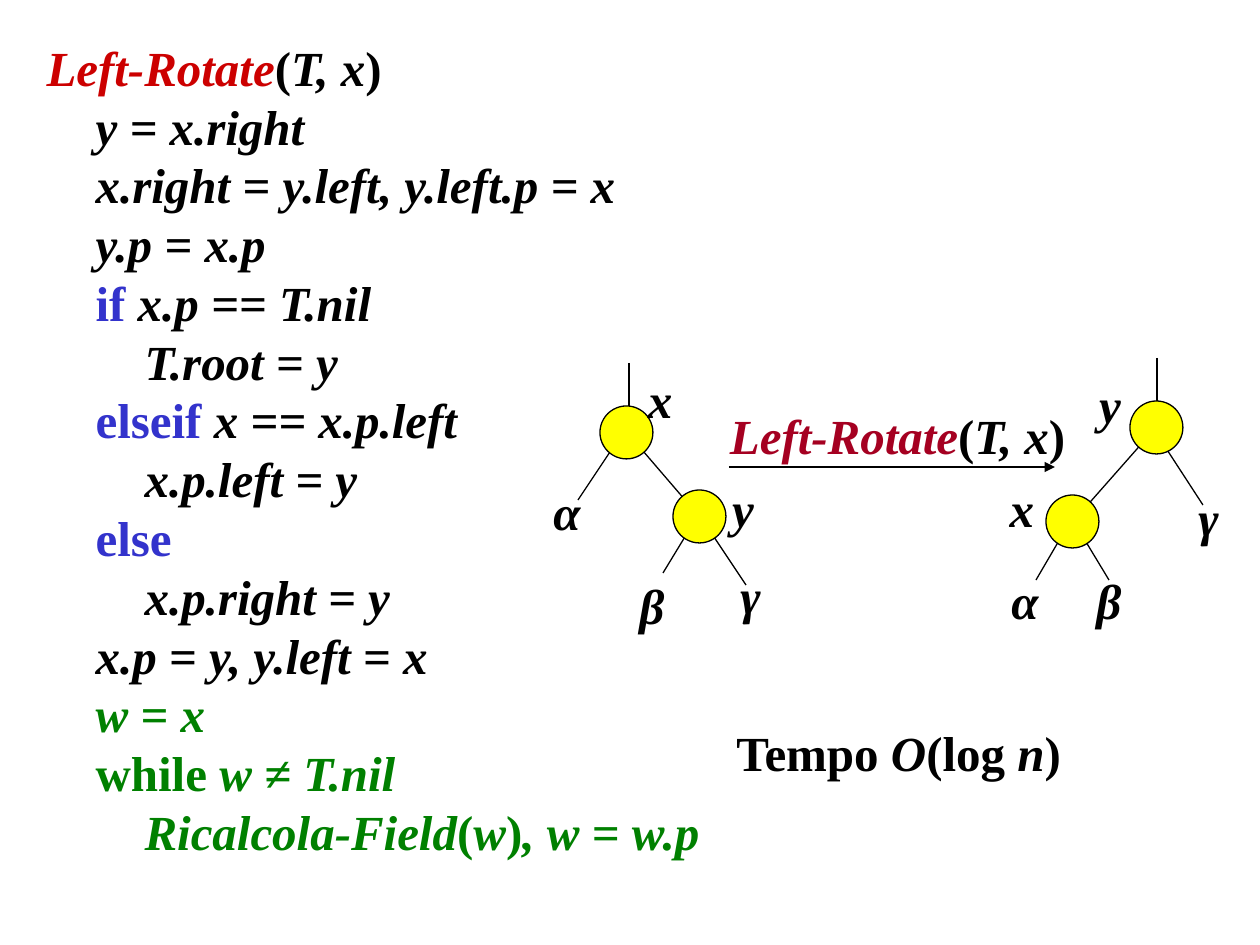
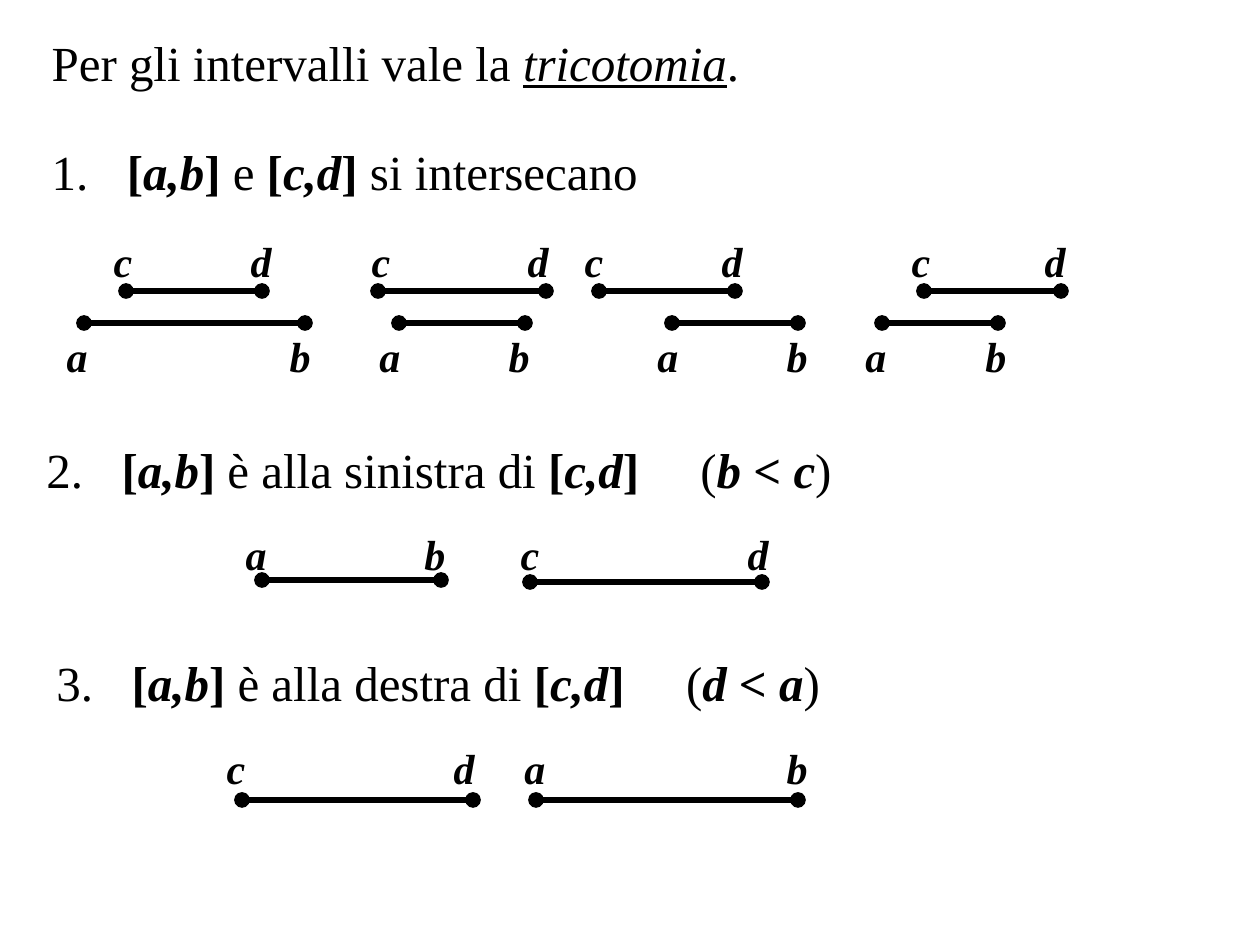
from typing import NamedTuple

from lxml import etree
from pptx import Presentation
from pptx.dml.color import RGBColor
from pptx.enum.shapes import MSO_CONNECTOR, MSO_SHAPE
from pptx.enum.text import MSO_ANCHOR, MSO_AUTO_SIZE, PP_ALIGN
from pptx.oxml.ns import qn
from pptx.util import Emu, Pt

STRAIGHT = MSO_CONNECTOR.STRAIGHT
OVAL = MSO_SHAPE.OVAL
TOP, MIDDLE = MSO_ANCHOR.TOP, MSO_ANCHOR.MIDDLE
LEFT, CENTER = PP_ALIGN.LEFT, PP_ALIGN.CENTER
FIXED = MSO_AUTO_SIZE.NONE

SCALE = 914400 / 126  # EMU per pixel
FONT = "Times New Roman"
BLACK, YELLOW = "000000", "FFFF00"
RED, CRIMSON, BLUE, GREEN = "CC0000", "A50021", "3333CC", "008000"
TEXT_SIZE, LABEL_SIZE = 28, 24
LINE_FACTOR = 1.2
CODE_STEP, NUMBER_INDENT = 49, 63
NODE_SIZE = 53

# Run formats
PLAIN = {}
BOLD = {"bold": True}
VAR = {"bold": True, "italic": True}
TERM = {"italic": True, "underline": True}
NAME = {**VAR, "color": RED}
CAPTION_NAME = {**VAR, "color": CRIMSON}
KEYWORD = {**BOLD, "color": BLUE}
ADDED = {**VAR, "color": GREEN}
ADDED_UPRIGHT = {**BOLD, "color": GREEN}
WIDE_GAP = {"spacing": 2800}


class Box(NamedTuple):
    """A rectangle in pixels."""
    x: int
    y: int
    w: int
    h: int


class Para(NamedTuple):
    """A paragraph: its runs, code indent level and list number."""
    runs: list
    level: int = 0
    number: int = 0


class Line(NamedTuple):
    """A straight line between two points in pixels."""
    x1: int
    y1: int
    x2: int
    y2: int


class Interval(NamedTuple):
    """A segment with the names of its ends and the places of those names."""
    names: str
    start: int
    end: int
    y: int
    label_y: int
    first_x: int
    last_x: int


def px(n: float) -> Emu:
    """Turn pixels into EMU."""
    return Emu(round(n * SCALE))


def rgb(color: str) -> RGBColor:
    """Turn a hex string into a colour."""
    return RGBColor.from_string(color)


def add_run(p, text: str, fmt: dict, size: int) -> None:
    """Add a run formatted from a dict."""
    r = p.add_run()
    r.text = text
    values = {"name": FONT, "size": Pt(size), "bold": False, "italic": False,
              "color": BLACK, **fmt}
    r.font.color.rgb = rgb(values.pop("color"))
    spacing = values.pop("spacing", None)
    if spacing:
        r._r.get_or_add_rPr().set("spc", str(spacing))
    for key, value in values.items():
        setattr(r.font, key, value)


def set_list_style(p, para: Para) -> None:
    """Set the indent of a paragraph and its number, if it has one."""
    pPr = p._p.get_or_add_pPr()
    indent = NUMBER_INDENT if para.number else 0
    pPr.set("marL", str(px(para.level * CODE_STEP + indent)))
    pPr.set("indent", str(-px(indent)))
    if para.number:
        etree.SubElement(pPr, qn("a:buAutoNum"), type="arabicPeriod",
                         startAt=str(para.number))
    else:
        etree.SubElement(pPr, qn("a:buNone"))


def write(s, box: Box, paras: list, size: int = TEXT_SIZE, align=LEFT,
          anchor=TOP, wrap: bool = True) -> None:
    """Place a text shape or placeholder and fill it with paragraphs."""
    s.left, s.top, s.width, s.height = map(px, box)
    tf = s.text_frame
    for key, value in {"word_wrap": wrap, "auto_size": FIXED,
                       "vertical_anchor": anchor}.items():
        setattr(tf, key, value)
    for i, para in enumerate(paras):
        p = tf.add_paragraph() if i else tf.paragraphs[0]
        for key, value in {"alignment": align, "space_before": Pt(0),
                           "line_spacing": Pt(size * LINE_FACTOR)}.items():
            setattr(p, key, value)
        set_list_style(p, para)
        for text, fmt in para.runs:
            add_run(p, text, fmt, size)


def add_text(slide, box: Box):
    """Add an empty text box."""
    return slide.shapes.add_textbox(*map(px, box))


def add_label(slide, box: Box, runs: list, size: int = TEXT_SIZE) -> None:
    """Add a centred label of one line."""
    write(add_text(slide, box), box, [Para(runs)], size, CENTER, MIDDLE, False)


def add_line(slide, line: Line, width: float = 0.75, head: str = "",
             tail: str = "") -> None:
    """Add a black line with optional line ends."""
    c = slide.shapes.add_connector(STRAIGHT, *map(px, line))
    c.line.color.rgb = rgb(BLACK)
    c.line.width = Pt(width)
    spPr = c.element.spPr
    ln = spPr.find(qn("a:ln"))
    for tag, kind in (("a:headEnd", head), ("a:tailEnd", tail)):
        if kind:
            etree.SubElement(ln, qn(tag), type=kind)
    etree.SubElement(spPr, qn("a:effectLst"))


def add_node(slide, x: int, y: int) -> None:
    """Add a yellow tree node."""
    s = slide.shapes.add_shape(OVAL, *map(px, (x, y, NODE_SIZE, NODE_SIZE)))
    s.shadow.inherit = False
    s.fill.solid()
    s.fill.fore_color.rgb = rgb(YELLOW)
    s.line.color.rgb = rgb(BLACK)
    s.line.width = Pt(0.75)


def add_interval(slide, item: Interval) -> None:
    """Add a segment with round ends and its two labels."""
    add_line(slide, Line(item.start, item.y, item.end, item.y), 3, "oval", "oval")
    for name, x in zip(item.names, (item.first_x, item.last_x)):
        add_label(slide, Box(x, item.label_y, 46, 64), [(name, VAR)], LABEL_SIZE)


CODE = [
    Para([("Left-Rotate", NAME), ("(", BOLD), ("T, x", VAR), (")", BOLD)]),
    Para([("y = x.right", VAR)], 1),
    Para([("x.right = y.left, y.left.p = x", VAR)], 1),
    Para([("y.p = x.p", VAR)], 1),
    Para([("if ", KEYWORD), ("x.p == T.nil", VAR)], 1),
    Para([("T.root = y", VAR)], 2),
    Para([("elseif", KEYWORD), (" x == x.p.left", VAR)], 1),
    Para([("x.p.left = y", VAR)], 2),
    Para([("else", KEYWORD)], 1),
    Para([("x.p.right = y", VAR)], 2),
    Para([("x.p = y, y.left = x", VAR)], 1),
    Para([("w = x", ADDED)], 1),
    Para([("while", ADDED_UPRIGHT), (" w ≠ T.nil", ADDED)], 1),
    Para([("Ricalcola-Field", ADDED), ("(", ADDED_UPRIGHT), ("w", ADDED),
          (")", ADDED_UPRIGHT), (", w = w.p", ADDED)], 2),
]
COST = [("Tempo", BOLD), (" O", VAR), ("(log", BOLD), (" n", VAR), (")", BOLD)]
CAPTION = [("Left-Rotate", CAPTION_NAME), ("(", BOLD), ("T, x", VAR), (")", BOLD)]

TREE_EDGES = [
    # before the rotation
    Line(629, 363, 629, 436), Line(620, 437, 578, 500), Line(631, 437, 704, 522),
    Line(694, 522, 663, 573), Line(704, 522, 746, 585),
    # after the rotation
    Line(1157, 358, 1157, 431), Line(1162, 442, 1203, 505),
    Line(1152, 432, 1077, 517), Line(1067, 527, 1036, 580),
    Line(1077, 527, 1109, 580),
]
TREE_NODES = [(600, 406), (673, 490), (1130, 401), (1046, 495)]
TREE_LABELS = [
    ("x", Box(635, 363, 50, 72)), ("y", Box(719, 472, 48, 72)),
    ("α", Box(525, 479, 84, 63)), ("β", Box(610, 573, 84, 63)),
    ("γ", Box(714, 563, 73, 63)),
    ("y", Box(1086, 368, 48, 72)), ("x", Box(997, 472, 50, 72)),
    ("α", Box(983, 568, 84, 63)), ("β", Box(1067, 568, 84, 63)),
    ("γ", Box(1172, 485, 73, 63)),
]

TITLE = [("Per gli intervalli vale la ", PLAIN), ("tricotomia", TERM), (".", PLAIN)]
AB = [(" ", PLAIN), ("[", BOLD), ("a,b", VAR), ("]", BOLD)]
CD = [("[", BOLD), ("c,d", VAR), ("]", BOLD)]


def condition(text: str) -> list:
    """Return the runs of a condition in brackets after a wide gap."""
    return [(" ", WIDE_GAP), ("(", PLAIN), (text, VAR), (")", PLAIN)]


CASES = [
    (Box(39, 135, 1186, 72),
     AB + [(" e ", PLAIN)] + CD + [(" si intersecano", PLAIN)]),
    (Box(34, 433, 1186, 72),
     AB + [(" è alla sinistra di ", PLAIN)] + CD + condition("b < c")),
    (Box(44, 646, 1166, 72),
     AB + [(" è alla destra di ", PLAIN)] + CD + condition("d < a")),
]
INTERVALS = [
    # the four ways to overlap
    Interval("cd", 126, 262, 291, 229, 100, 238),
    Interval("ab", 84, 305, 323, 324, 54, 277),
    Interval("cd", 378, 546, 291, 229, 358, 515),
    Interval("ab", 399, 525, 323, 324, 367, 496),
    Interval("cd", 599, 735, 291, 229, 571, 709),
    Interval("ab", 672, 798, 323, 324, 645, 774),
    Interval("cd", 924, 1061, 291, 229, 898, 1032),
    Interval("ab", 882, 998, 323, 324, 853, 973),
    # to the left
    Interval("ab", 262, 441, 580, 522, 233, 412),
    Interval("cd", 530, 762, 582, 522, 507, 735),
    # to the right
    Interval("cd", 242, 473, 800, 736, 213, 441),
    Interval("ab", 536, 798, 800, 736, 512, 774),
]


def build_rotation(prs) -> None:
    """Build the slide with the rotation code and the two trees."""
    slide = prs.slides.add_slide(prs.slide_layouts[1])
    title, body = slide.placeholders
    title.element.getparent().remove(title.element)
    write(body, Box(34, 31, 809, 844), CODE)
    cost_box = Box(724, 716, 496, 72)
    write(add_text(slide, cost_box), cost_box, [Para(COST)])
    for edge in TREE_EDGES:
        add_line(slide, edge)
    for x, y in TREE_NODES:
        add_node(slide, x, y)
    for text, box in TREE_LABELS:
        add_label(slide, box, [(text, VAR)])
    add_line(slide, Line(729, 467, 1055, 467), tail="triangle")
    add_label(slide, Box(719, 403, 357, 63), CAPTION)


def build_trichotomy(prs) -> None:
    """Build the slide with the three cases for two intervals."""
    slide = prs.slides.add_slide(prs.slide_layouts[1])
    title, body = slide.placeholders
    write(title, Box(39, 26, 1181, 72), [Para(TITLE)])
    for number, (box, runs) in enumerate(CASES, 1):
        s = body if number == 1 else add_text(slide, box)
        write(s, box, [Para(runs, number=number)])
    for item in INTERVALS:
        add_interval(slide, item)


prs = Presentation()
prs.slide_width, prs.slide_height = px(1260), px(945)
build_rotation(prs)
build_trichotomy(prs)
prs.save("out.pptx")
